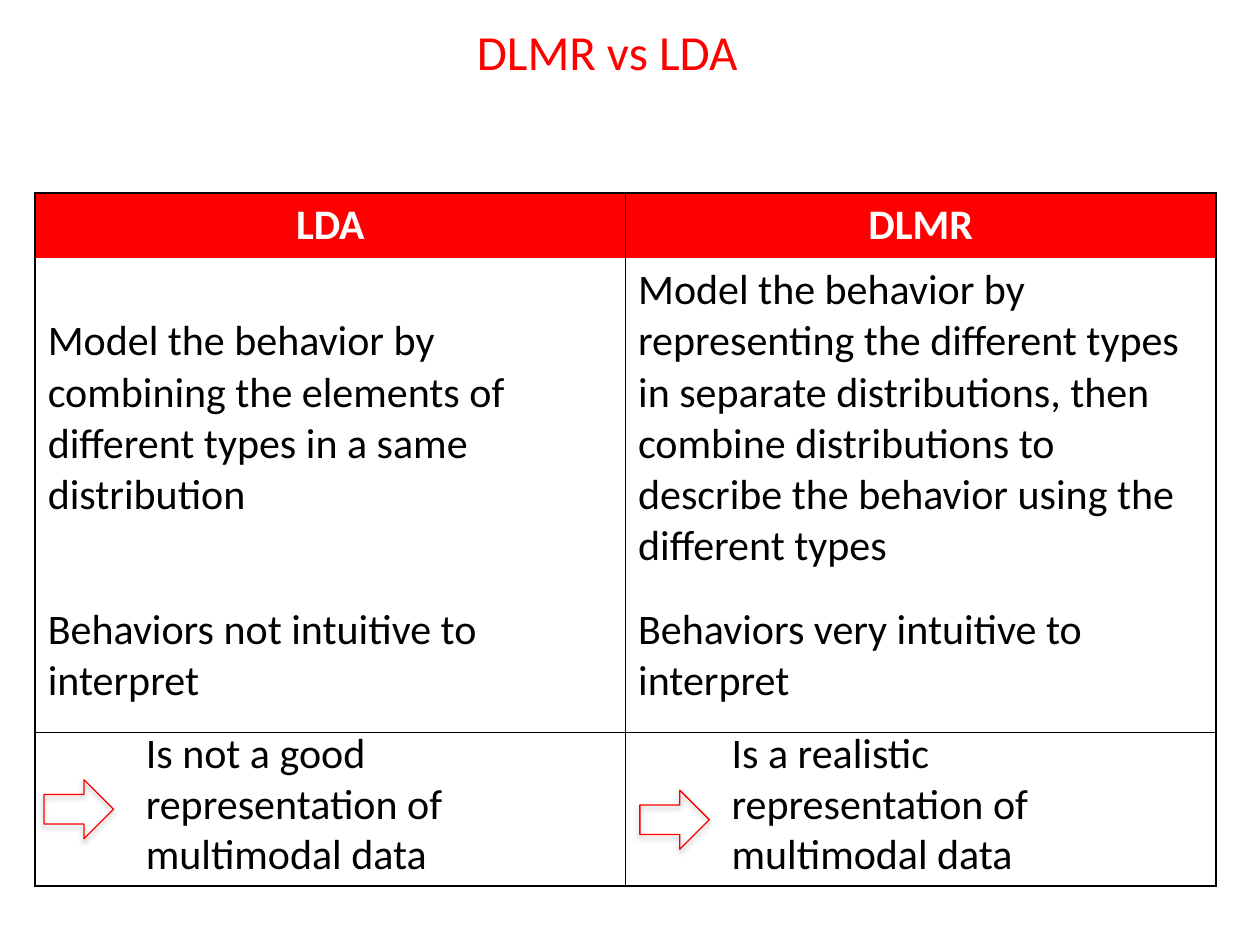
from lxml import etree
from pptx import Presentation
from pptx import util as u
from pptx.dml.color import RGBColor
from pptx.enum import shapes, text
from pptx.oxml import parse_xml
from pptx.oxml.ns import nsdecls, qn

RED, BLACK, WHITE = "FF0000", "000000", "FFFFFF"


def style(para, size, color, bold=False):
    para.font.name = "Calibri"
    para.font.size = u.Pt(size)
    para.font.bold = bold
    para.font.color.rgb = RGBColor.from_string(color)


def set_borders(cell, sides):
    """Draw thin black lines on the sides given (of L, R, T, B) and none on the rest."""
    for side in "LRTB":
        line = etree.SubElement(cell._tc.get_or_add_tcPr(), qn(f"a:ln{side}"), w="12700")
        if side in sides:
            fill = etree.SubElement(line, qn("a:solidFill"))
            etree.SubElement(fill, qn("a:srgbClr"), val=BLACK)
        else:
            etree.SubElement(line, qn("a:noFill"))


deck = Presentation()
deck.slide_width, deck.slide_height = u.Cm(25.4), u.Cm(19.05)
page = deck.slides.add_slide(deck.slide_layouts[5])

title = page.shapes.title
title.left, title.top, title.width, title.height = u.Cm(-0.41), u.Cm(0.15), u.Cm(25.3), u.Cm(1.75)
title.text_frame.text = "DLMR vs LDA"
title.text_frame.vertical_anchor = text.MSO_ANCHOR.MIDDLE
title.text_frame.paragraphs[0].alignment = text.PP_ALIGN.CENTER
style(title.text_frame.paragraphs[0], 28, RED)

# Comparison table: one row per aspect, the last row holds the conclusions
rows = [
    ("LDA", "DLMR"),
    ("Model the behavior by combining the elements of different types in a same distribution",
     "Model the behavior by representing the different types in separate distributions, "
     "then combine distributions to describe the behavior using the different types"),
    ("Behaviors not intuitive to interpret", "Behaviors very intuitive to interpret"),
    ("", ""),
]
row_heights = [1.32, 6.38, 3.1, 3.1]
row_borders = ["LRT", "LR", "LRB", "LRTB"]

table = page.shapes.add_table(4, 2, u.Cm(0.71), u.Cm(3.89), u.Cm(23.8), u.Cm(sum(row_heights))).table
table.horz_banding = False
for column in table.columns:
    column.width = u.Cm(11.9)
for r, (texts, height, sides) in enumerate(zip(rows, row_heights, row_borders)):
    table.rows[r].height = u.Cm(height)
    for c, content in enumerate(texts):
        cell = table.cell(r, c)
        cell.text = content
        para = cell.text_frame.paragraphs[0]
        set_borders(cell, sides)
        if r == 0:
            cell.fill.solid()
            cell.fill.fore_color.rgb = RGBColor.from_string(RED)
            para.alignment = text.PP_ALIGN.CENTER
            style(para, 24, WHITE, bold=True)
        else:
            cell.fill.background()
            cell.vertical_anchor = text.MSO_ANCHOR.MIDDLE
            style(para, 24, BLACK)

# Conclusions: an arrow and a text box over each cell of the last row
conclusions = [
    (0.89, 15.72, 2.69, "Is not a good representation of multimodal data"),
    (12.9, 15.93, 14.5, "Is a realistic representation of multimodal data"),
]
for arrow_left, arrow_top, box_left, content in conclusions:
    arrow = page.shapes.add_shape(shapes.MSO_SHAPE.RIGHT_ARROW, u.Cm(arrow_left), u.Cm(arrow_top),
                                  u.Cm(1.4), u.Cm(1.19))
    arrow.fill.background()
    arrow.line.color.rgb = RGBColor.from_string(RED)
    arrow.line.width = u.Pt(0.75)
    arrow.shadow.inherit = False
    arrow._element.spPr.find(qn("a:effectLst")).append(parse_xml(
        f'<a:outerShdw {nsdecls("a")} blurRad="40000" dist="23000" dir="5400000" rotWithShape="0">'
        f'<a:srgbClr val="{BLACK}"><a:alpha val="35000"/></a:srgbClr></a:outerShdw>'))

    box = page.shapes.add_textbox(u.Cm(box_left), u.Cm(14.53), u.Cm(9.6), u.Cm(3.33))
    box.text_frame.word_wrap = True
    box.text_frame.auto_size = text.MSO_AUTO_SIZE.SHAPE_TO_FIT_TEXT
    box.text_frame.text = content
    style(box.text_frame.paragraphs[0], 24, BLACK)

deck.save("out.pptx")
